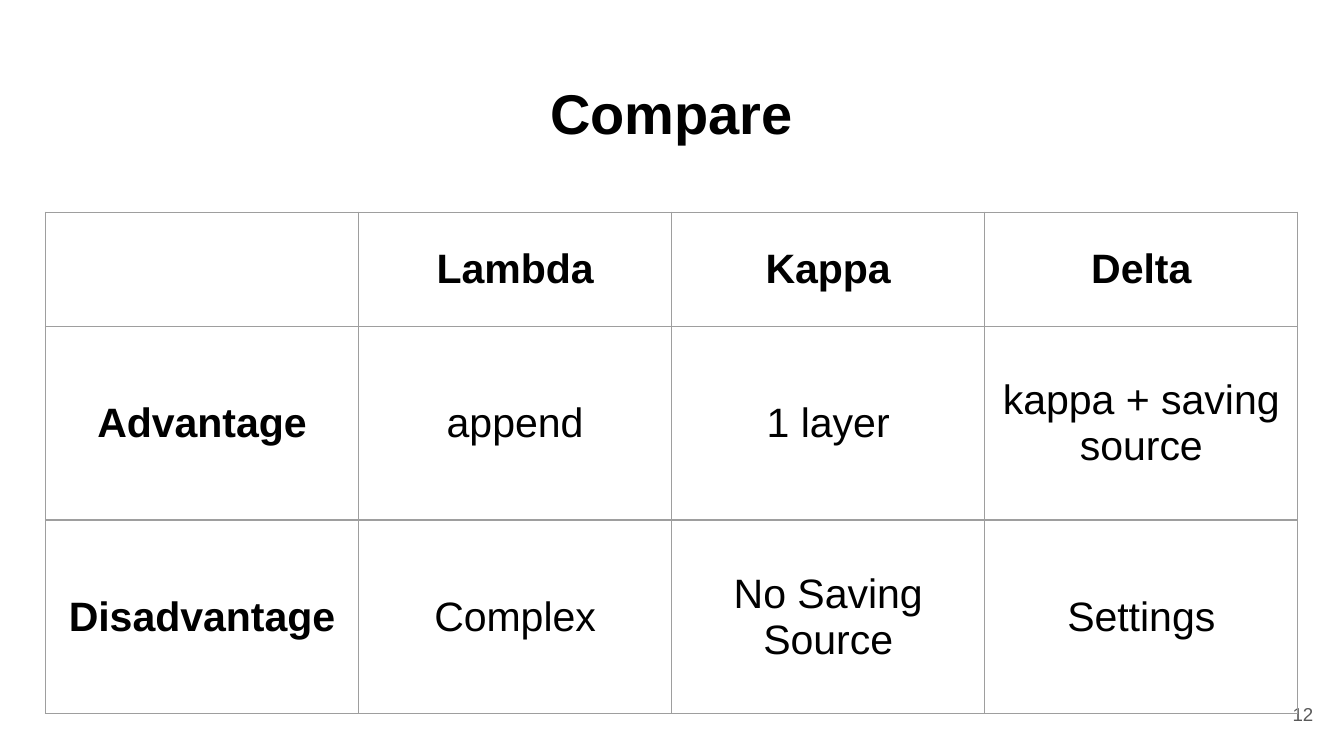
"""Build the slide that compares the Lambda, Kappa and Delta architectures."""
from lxml import etree
from pptx import Presentation
from pptx.dml.color import RGBColor
from pptx.enum import text
from pptx.oxml import ns
from pptx.util import Cm, Pt

ROWS = [
    ["", "Lambda", "Kappa", "Delta"],
    ["Advantage", "append", "1 layer", "kappa + saving source"],
    ["Disadvantage", "Complex", "No Saving Source", "Settings"],
]


def color(value):
    return RGBColor.from_string(value)


class SlideBuilder:
    font = "Arial"
    ink = "000000"
    muted = "595959"
    rule = "9E9E9E"
    inset = Cm(0.25)

    def __init__(self, presentation):
        self.slide = presentation.slides.add_slide(presentation.slide_layouts[5])

    def format_text(self, text_frame, size, bold, ink, alignment):
        for paragraph in text_frame.paragraphs:
            paragraph.alignment = alignment
            for run in paragraph.runs:
                run.font.name = self.font
                run.font.size = Pt(size)
                run.font.bold = bold
                run.font.color.rgb = color(ink)

    def set_insets(self, target):
        target.margin_left = target.margin_right = self.inset
        target.margin_top = target.margin_bottom = self.inset

    def place_text(self, shape, content, anchor):
        text_frame = shape.text_frame
        text_frame.text = content
        text_frame.word_wrap = True
        text_frame.auto_size = text.MSO_AUTO_SIZE.NONE
        text_frame.vertical_anchor = anchor
        self.set_insets(text_frame)
        return text_frame

    def add_title(self, content, left, top, width, height):
        title = self.slide.shapes.title
        title.left, title.top = Cm(left), Cm(top)
        title.width, title.height = Cm(width), Cm(height)
        text_frame = self.place_text(title, content, text.MSO_ANCHOR.TOP)
        self.format_text(text_frame, 30, True, self.ink, text.PP_ALIGN.CENTER)

    def add_page_number(self, content, left, top, width, height):
        box = self.slide.shapes.add_textbox(Cm(left), Cm(top), Cm(width), Cm(height))
        text_frame = self.place_text(box, content, text.MSO_ANCHOR.MIDDLE)
        self.format_text(text_frame, 10, False, self.muted, text.PP_ALIGN.RIGHT)

    def add_borders(self, cell):
        properties = cell._tc.get_or_add_tcPr()
        for side in ("a:lnL", "a:lnR", "a:lnT", "a:lnB"):
            line = etree.SubElement(properties, ns.qn(side), w=str(Pt(0.75)))
            fill = etree.SubElement(line, ns.qn("a:solidFill"))
            etree.SubElement(fill, ns.qn("a:srgbClr"), val=self.rule)

    def add_table(self, rows, left, top, width, heights):
        columns = len(rows[0])
        frame = self.slide.shapes.add_table(
            len(rows), columns, Cm(left), Cm(top), Cm(width), Cm(sum(heights)))
        table = frame.table
        table.first_row = table.horz_banding = False
        for column in table.columns:
            column.width = Cm(width / columns)
        for row_index, (values, height) in enumerate(zip(rows, heights)):
            table.rows[row_index].height = Cm(height)
            for column_index, value in enumerate(values):
                cell = table.cell(row_index, column_index)
                cell.text_frame.text = value
                cell.vertical_anchor = text.MSO_ANCHOR.MIDDLE
                self.set_insets(cell)
                self.add_borders(cell)
                cell.fill.background()
                heading = row_index == 0 or column_index == 0
                self.format_text(cell.text_frame, 22, heading, self.ink, text.PP_ALIGN.CENTER)


def main():
    presentation = Presentation()
    presentation.slide_width, presentation.slide_height = Cm(25.4), Cm(14.29)
    builder = SlideBuilder(presentation)
    builder.add_title("Compare", 0.86, 1.24, 23.67, 1.6)
    builder.add_page_number("12", 23.55, 12.95, 1.52, 1.09)
    builder.add_table(ROWS, 0.86, 4.01, 23.67, [2.16, 3.66, 3.66])
    presentation.save("out.pptx")


if __name__ == "__main__":
    main()
